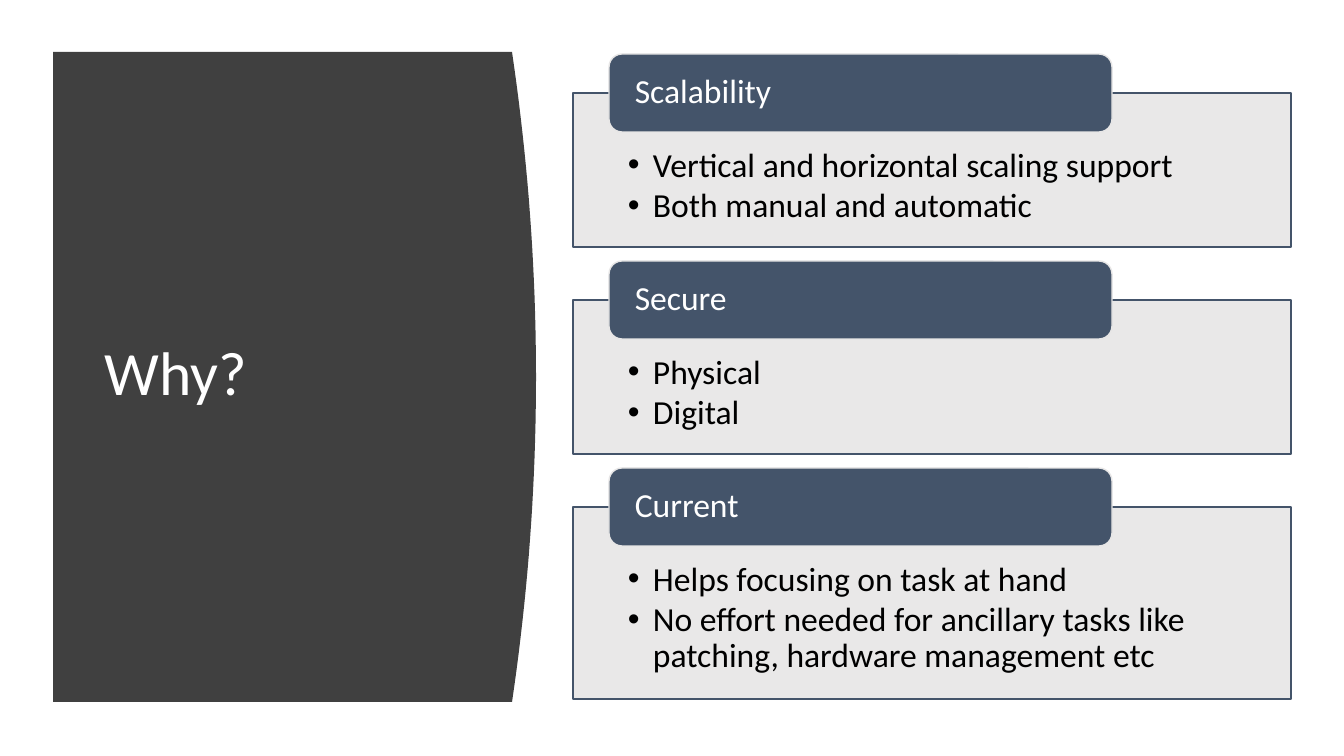
from lxml import etree
from pptx import Presentation, util as u
from pptx.dml.color import RGBColor
from pptx.enum import shapes, text
from pptx.oxml.ns import qn

# Content
TITLE = "Why?"
REASONS = [
    ("Scalability", ["Vertical and horizontal scaling support",
                     "Both manual and automatic"], 154),
    ("Secure", ["Physical", "Digital"], 154),
    ("Current", ["Helps focusing on task at hand",
                 "No effort needed for ancillary tasks like patching, "
                 "hardware management etc"], 192),
]
COLORS = {"curtain": "404040", "header": "44546A", "panel": "E7E6E6",
          "light": "FFFFFF", "dark": "000000"}
FONT = "Calibri"

# Layout in px
SCALE = 914400 / 100.8
PAGE_W, PAGE_H = 1344, 756
CURTAIN_LEFT, CURTAIN_TOP, CURTAIN_EDGE, CURTAIN_BOTTOM = 53, 52, 512, 702
BULGE, CURVE_STEPS = 24, 40
TITLE_BOX = (95, 112, 377, 528)
PANEL_LEFT, PANEL_TOP, PANEL_W, PANEL_GAP = 573, 93, 718, 53
HEADER_LEFT, HEADER_W, HEADER_H = 609, 503, 78
INDENT = 25


def px(value):
    return u.Emu(round(value * SCALE))


def rgb(name):
    return RGBColor.from_string(COLORS[name])


def write(shape, lines, size, color, anchor, insets=None, after=0, bullets=False):
    frame = shape.text_frame
    frame.word_wrap = True
    frame.vertical_anchor = anchor
    if insets:
        for side, inset in zip(("left", "top", "right", "bottom"), insets):
            setattr(frame, f"margin_{side}", px(inset))
    for index, line in enumerate(lines):
        para = frame.add_paragraph() if index else frame.paragraphs[0]
        formats = {"alignment": text.PP_ALIGN.LEFT, "line_spacing": 0.9,
                   "space_after": u.Pt(after)}
        for name, value in formats.items():
            setattr(para, name, value)
        if bullets:
            props = para._p.get_or_add_pPr()
            props.set("marL", str(px(INDENT)))
            props.set("indent", str(-px(INDENT)))
            etree.SubElement(props, qn("a:buFont")).set("typeface", "Arial")
            etree.SubElement(props, qn("a:buChar")).set("char", "•")
        span = para.add_run()
        span.text = line
        for name, value in {"name": FONT, "size": u.Pt(size)}.items():
            setattr(span.font, name, value)
        span.font.color.rgb = rgb(color)


def paint(shape, fill, line=None):
    shape.shadow.inherit = False
    shape.fill.solid()
    shape.fill.fore_color.rgb = rgb(fill)
    if line:
        shape.line.color.rgb = rgb(line)
        shape.line.width = u.Pt(1)
    else:
        shape.line.fill.background()


def add_block(page, kind, box, fill, line):
    shape = page.shapes.add_shape(kind, *map(px, box))
    paint(shape, fill, line)
    return shape


def add_curtain(page):
    # The right edge is a shallow parabola
    half = (CURTAIN_BOTTOM - CURTAIN_TOP) / 2
    points = [(CURTAIN_LEFT, CURTAIN_TOP)]
    for step in range(CURVE_STEPS + 1):
        t = 2 * step / CURVE_STEPS - 1
        points.append((CURTAIN_EDGE + BULGE * (1 - t * t),
                       CURTAIN_TOP + half * (1 + t)))
    points.append((CURTAIN_LEFT, CURTAIN_BOTTOM))
    points = [(px(x), px(y)) for x, y in points]
    builder = page.shapes.build_freeform(*points[0], scale=1.0)
    builder.add_line_segments(points[1:], close=True)
    paint(builder.convert_to_shape(), "curtain")


def add_reason(page, heading, bullets, top, height):
    panel = add_block(page, shapes.MSO_SHAPE.RECTANGLE,
                      (PANEL_LEFT, top, PANEL_W, height), "panel", "header")
    color = panel.fill._xPr.find(qn("a:solidFill"))[0]
    etree.SubElement(color, qn("a:alpha")).set("val", "90000")
    write(panel, bullets, 24, "dark", text.MSO_ANCHOR.TOP,
          (55, 55, 55, 19), after=3, bullets=True)
    header = add_block(page, shapes.MSO_SHAPE.ROUNDED_RECTANGLE,
                       (HEADER_LEFT, top - HEADER_H / 2, HEADER_W, HEADER_H),
                       "header", "panel")
    write(header, [heading], 24, "light", text.MSO_ANCHOR.MIDDLE, (22, 4, 22, 4))


def main():
    deck = Presentation()
    deck.slide_width, deck.slide_height = px(PAGE_W), px(PAGE_H)
    page = deck.slides.add_slide(deck.slide_layouts[6])

    # Title side
    add_curtain(page)
    title = page.shapes.add_textbox(*map(px, TITLE_BOX))
    write(title, [TITLE], 44, "light", text.MSO_ANCHOR.MIDDLE)

    # Stacked reasons
    top = PANEL_TOP
    for heading, bullets, height in REASONS:
        add_reason(page, heading, bullets, top, height)
        top += height + PANEL_GAP

    deck.save("out.pptx")


if __name__ == "__main__":
    main()
